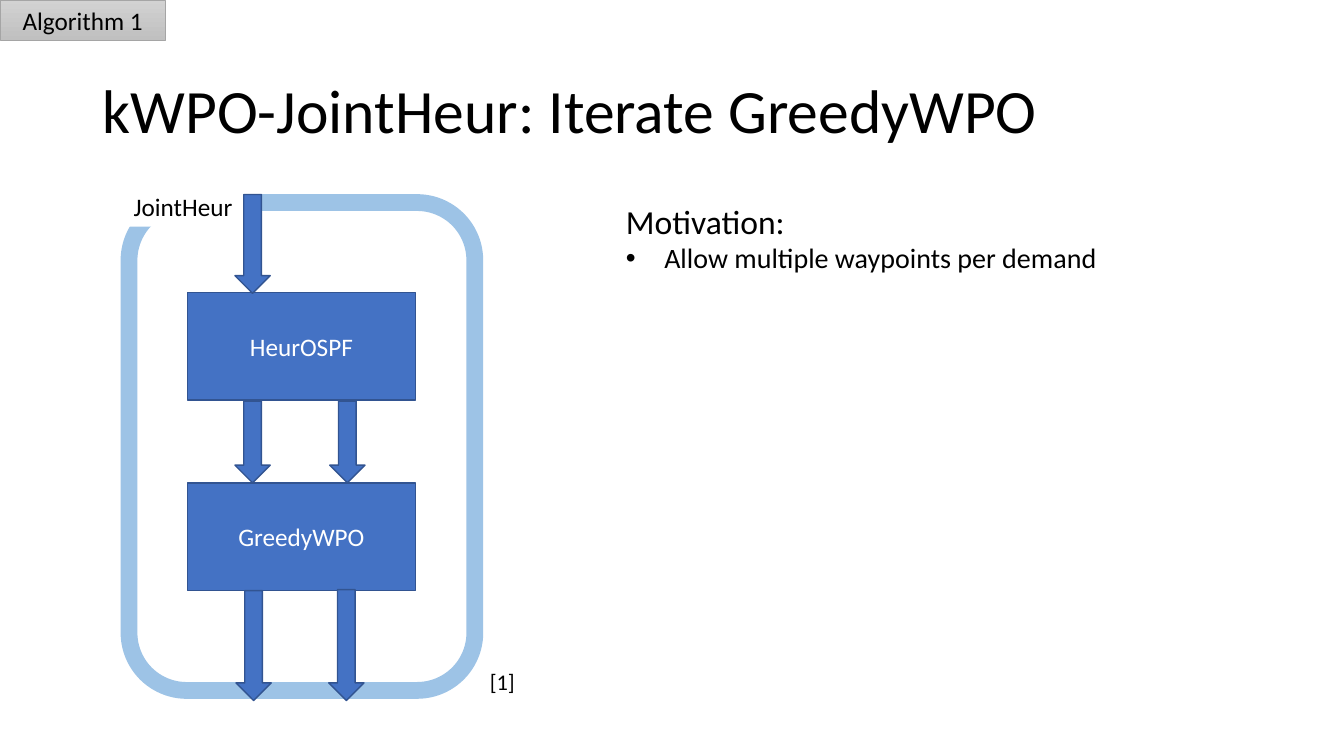
from lxml.etree import SubElement
from pptx import Presentation
from pptx.dml.color import RGBColor
from pptx.enum.shapes import MSO_SHAPE
from pptx.enum.text import MSO_ANCHOR, PP_ALIGN
from pptx.oxml.ns import qn
from pptx.util import Pt

PX = 9144  # EMU per px, 100 px to the inch
COLORS = {
    "black": "000000", "white": "FFFFFF", "blue": "4472C4", "edge": "325491",
    "frame": "9DC3E6", "tag_top": "D2D2D2", "tag_bottom": "C0C0C0", "tag_edge": "A5A5A5",
}


def rgb(name):
    return RGBColor.from_string(COLORS[name])


class SlideBuilder:
    font = "Calibri"

    def __init__(self, page):
        self.page = page

    def fill_text(self, frame, lines, color="black", align=PP_ALIGN.LEFT, anchor=MSO_ANCHOR.TOP):
        """Fill a text frame; each line is a text, a size and a dict of paragraph values."""
        frame.word_wrap = True
        frame.vertical_anchor = anchor
        for index, (text, size, values) in enumerate(lines):
            para = frame.add_paragraph() if index else frame.paragraphs[0]
            for name, value in {"alignment": align, **values}.items():
                if name == "bullet":
                    self.bullet(para, value)
                else:
                    setattr(para, name, value)
            span = para.add_run()
            span.text = text
            for name, value in {"name": self.font, "size": Pt(size)}.items():
                setattr(span.font, name, value)
            span.font.color.rgb = rgb(color)

    def bullet(self, para, indent):
        props = para._p.get_or_add_pPr()
        props.set("marL", str(indent * PX))
        props.set("indent", str(-indent * PX))
        SubElement(props, qn("a:buFont"), typeface="Arial")
        SubElement(props, qn("a:buChar"), char="•")

    def text(self, place, lines, **style):
        box = self.page.shapes.add_textbox(*(n * PX for n in place))
        self.fill_text(box.text_frame, lines, **style)

    def shape(self, kind, place, fill=None, line=None, width=1):
        """Add a preset shape; a pair of fill colours makes a gradient from top to bottom."""
        shape = self.page.shapes.add_shape(kind, *(n * PX for n in place))
        shape.shadow.inherit = False
        if fill is None:
            shape.fill.background()
        elif isinstance(fill, tuple):
            shape.fill.gradient()
            shape.fill.gradient_angle = 270
            for stop, color in zip(shape.fill.gradient_stops, fill):
                stop.color.rgb = rgb(color)
        else:
            shape.fill.solid()
            shape.fill.fore_color.rgb = rgb(fill)
        if line:
            shape.line.color.rgb = rgb(line)
            shape.line.width = Pt(width)
        else:
            shape.line.fill.background()
        return shape

    def label(self, place, text, color="black", anchor=MSO_ANCHOR.MIDDLE, **style):
        """Add a rectangle with centred text."""
        box = self.shape(MSO_SHAPE.RECTANGLE, place, **style)
        self.fill_text(box.text_frame, [(text, 18, {})], color, PP_ALIGN.CENTER, anchor)

    def down_arrow(self, left, top, height):
        self.shape(MSO_SHAPE.DOWN_ARROW, (left, top, 35, height), "blue", "edge")


def main():
    deck = Presentation()
    deck.slide_width, deck.slide_height = 1333 * PX, 750 * PX
    slide = SlideBuilder(deck.slides.add_slide(deck.slide_layouts[6]))

    slide.text((92, 40, 1150, 145),
               [("kWPO-JointHeur: Iterate GreedyWPO", 44, {"line_spacing": 0.9})],
               anchor=MSO_ANCHOR.MIDDLE)

    slide.shape(MSO_SHAPE.ROUNDED_RECTANGLE, (128, 201, 343, 484), line="frame", width=12)
    for top, step in ((290, "HeurOSPF"), (479, "GreedyWPO")):
        slide.label((186, top, 226, 107), step, "white", fill="blue", line="edge")
    slide.label((122, 185, 119, 40), "JointHeur", anchor=MSO_ANCHOR.TOP, fill="white")
    for arrow in ((233, 193, 98), (233, 398, 81), (327, 398, 81),
                  (234, 586, 109), (326, 585, 110)):
        slide.down_arrow(*arrow)

    slide.text((611, 194, 582, 114), [
        ("Motivation:", 24, {}),
        ("Allow multiple waypoints per demand", 20, {"bullet": 38}),
    ])
    slide.label((0, 0, 164, 40), "Algorithm 1",
                fill=("tag_top", "tag_bottom"), line="tag_edge", width=0.5)
    slide.text((476, 658, 47, 37), [("[1]", 16, {})])

    deck.save("out.pptx")


if __name__ == "__main__":
    main()
